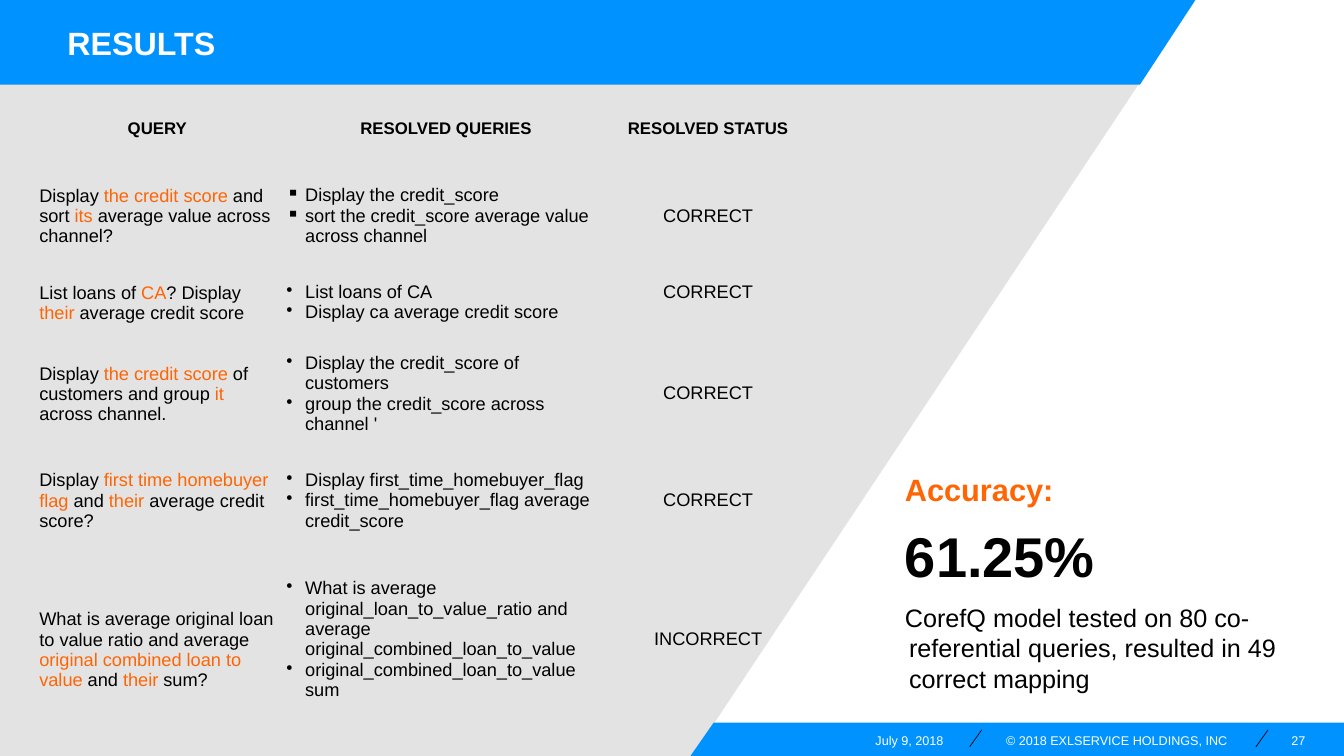
from lxml import etree
from pptx import Presentation
from pptx.dml.color import RGBColor
from pptx.enum.shapes import MSO_CONNECTOR
from pptx.enum.text import MSO_ANCHOR, PP_ALIGN
from pptx.oxml.ns import qn
from pptx.util import Pt

LEFT, MID, RIGHT = PP_ALIGN.LEFT, PP_ALIGN.CENTER, PP_ALIGN.RIGHT
CENTER = MSO_ANCHOR.MIDDLE
LINE = MSO_CONNECTOR.STRAIGHT
PLAIN = "{2D5ABB26-0587-4C30-8999-92F81FD0307C}"  # no table style, no grid

BLUE, GREY, ORANGE = "0093FF", "E3E3E3", "FF6503"
BLACK, WHITE = "000000", "FFFFFF"

PANEL = [(0, 43.2), (820.8, 49), (494.6, 540), (0, 540)]
BAND = [(0, 0), (853.9, 0), (814.3, 60.5), (0, 60.5)]
FOOTER = [(509.8, 516.2), (960, 516.2), (960, 540), (493.2, 540)]

WIDTHS = [169.9, 242.6, 131.8]
HEIGHTS = [57.6, 66.2, 57.6, 72.7, 79.9, 118.8]
HEADS = ["QUERY", "RESOLVED QUERIES", "RESOLVED STATUS"]
# Query (orange words between bars), bullet, resolved queries, status
ROWS = [
    ("Display |the credit score |and sort |its| average value across channel?",
     "▪", ["Display the credit_score",
           "sort the credit_score average value across channel"], "CORRECT"),
    ("List loans of |CA|? Display |their |average credit score",
     "•", ["List loans of CA", "Display ca average credit score"], "CORRECT"),
    ("Display |the credit score| of customers and group |it |across channel.",
     "•", ["Display the credit_score of customers",
           "group the credit_score across channel '"], "CORRECT"),
    ("Display |first time homebuyer flag |and |their| average credit score?",
     "•", ["Display first_time_homebuyer_flag",
           "first_time_homebuyer_flag average credit_score"], "CORRECT"),
    ("What is average original loan to value ratio and average "
     "|original combined loan to value |and |their| sum?",
     "•", ["What is average original_loan_to_value_ratio and average "
           "original_combined_loan_to_value",
           "original_combined_loan_to_value sum"], "INCORRECT"),
]


def rgb(code):
    return RGBColor.from_string(code)


def write(para, text, size=13, color=BLACK, bold=False, align=LEFT):
    """Fill a paragraph; every second part between bars is orange."""
    para.alignment = align
    for i, part in enumerate(text.split("|")):
        run = para.add_run()
        run.text = part
        font = run.font
        font.name, font.size, font.bold = "Arial", Pt(size), bold
        font.color.rgb = rgb(ORANGE if i % 2 else color)


def indent(para, left, first, mark=None):
    props = para._p.get_or_add_pPr()
    props.set("marL", str(Pt(left)))
    props.set("indent", str(Pt(first)))
    if mark:
        etree.SubElement(props, qn("a:buChar")).set("char", mark)


def inset(item, left=0, top=0, right=0, bottom=0):
    item.margin_left, item.margin_top = Pt(left), Pt(top)
    item.margin_right, item.margin_bottom = Pt(right), Pt(bottom)


def panel(slide, points, color):
    start, *rest = [(Pt(x), Pt(y)) for x, y in points]
    pen = slide.shapes.build_freeform(*start)
    pen.add_line_segments(rest, close=True)
    shape = pen.convert_to_shape()
    shape.shadow.inherit = False
    shape.fill.solid()
    shape.fill.fore_color.rgb = rgb(color)
    shape.line.fill.background()


def slash(slide, x):
    line = slide.shapes.add_connector(LINE, Pt(x), Pt(521.3), Pt(x - 8.7), Pt(533.5))
    line.line.color.rgb = rgb(BLACK)
    line.line.width = Pt(0.5)
    etree.SubElement(line.element.spPr, qn("a:effectLst"))


def textbox(slide, x, y, w, h):
    frame = slide.shapes.add_textbox(Pt(x), Pt(y), Pt(w), Pt(h)).text_frame
    frame.word_wrap = True
    inset(frame)
    return frame


def title(slide, text):
    shape = slide.shapes.title
    shape.left, shape.top, shape.width, shape.height = Pt(48.2), Pt(7.2), Pt(758.2), Pt(46.1)
    frame = shape.text_frame
    inset(frame)
    frame.vertical_anchor = CENTER
    write(frame.paragraphs[0], text, size=23, color=WHITE, bold=True)
    shape.element.getparent().append(shape.element)  # bring in front of the band


def footer(slide):
    panel(slide, FOOTER, BLUE)
    for x in (701.3, 905.8):
        slash(slide, x)
    for x, w, text, align in [
        (510.5, 163.4, "July 9, 2018", RIGHT),
        (718.6, 163.4, "© 2018 EXLSERVICE HOLDINGS, INC", LEFT),
        (905.8, 26.6, "27", RIGHT),
    ]:
        frame = textbox(slide, x, 523.4, w, 10.8)
        write(frame.paragraphs[0], text, size=9, color=WHITE, align=align)


def results(slide):
    frame = slide.shapes.add_table(
        len(HEIGHTS), len(WIDTHS), Pt(27.4), Pt(63.4), Pt(sum(WIDTHS)), Pt(sum(HEIGHTS)))
    table = frame.table
    table.first_row = table.horz_banding = False
    for style in frame.element.iter(qn("a:tableStyleId")):
        style.text = PLAIN
    for col, width in zip(table.columns, WIDTHS):
        col.width = Pt(width)
    for row, height in zip(table.rows, HEIGHTS):
        row.height = Pt(height)
    for cell in table.iter_cells():
        cell.fill.background()
        cell.vertical_anchor = CENTER
    for i, head in enumerate(HEADS):
        write(table.cell(0, i).text_frame.paragraphs[0], head, size=12, bold=True, align=MID)
    for i, (query, mark, parts, status) in enumerate(ROWS, 1):
        ask, solved, state = (table.cell(i, j) for j in range(3))
        inset(ask, left=0.7, top=0.7, right=0.7)
        write(ask.text_frame.paragraphs[0], query)
        for j, part in enumerate(parts):
            body = solved.text_frame
            para = body.add_paragraph() if j else body.paragraphs[0]
            indent(para, 13.5, -13.5, mark)
            write(para, part)
        write(state.text_frame.paragraphs[0], status, align=MID)
    table.cell(2, 2).margin_bottom = Pt(18)  # status level with the first line
    table.cell(5, 0).margin_top = Pt(15)


def accuracy(slide):
    frame = textbox(slide, 631.4, 336, 285.1, 157)
    for i, (text, size, color, bold) in enumerate([
        ("Accuracy:", 22, ORANGE, True),
        ("61.25%", 40, BLACK, True),
        ("CorefQ model tested on 80 co-referential queries, resulted in 49 "
         "correct mapping", 18, BLACK, False),
    ]):
        para = frame.add_paragraph() if i else frame.paragraphs[0]
        indent(para, 18, -3)
        if i:
            para.space_before = Pt(10)
        write(para, text, size=size, color=color, bold=bold)


def main():
    deck = Presentation()
    deck.slide_width, deck.slide_height = Pt(960), Pt(540)
    slide = deck.slides.add_slide(deck.slide_layouts[5])
    panel(slide, PANEL, GREY)
    panel(slide, BAND, BLUE)
    footer(slide)
    title(slide, "RESULTS")
    results(slide)
    accuracy(slide)
    deck.save("out.pptx")


if __name__ == "__main__":
    main()
